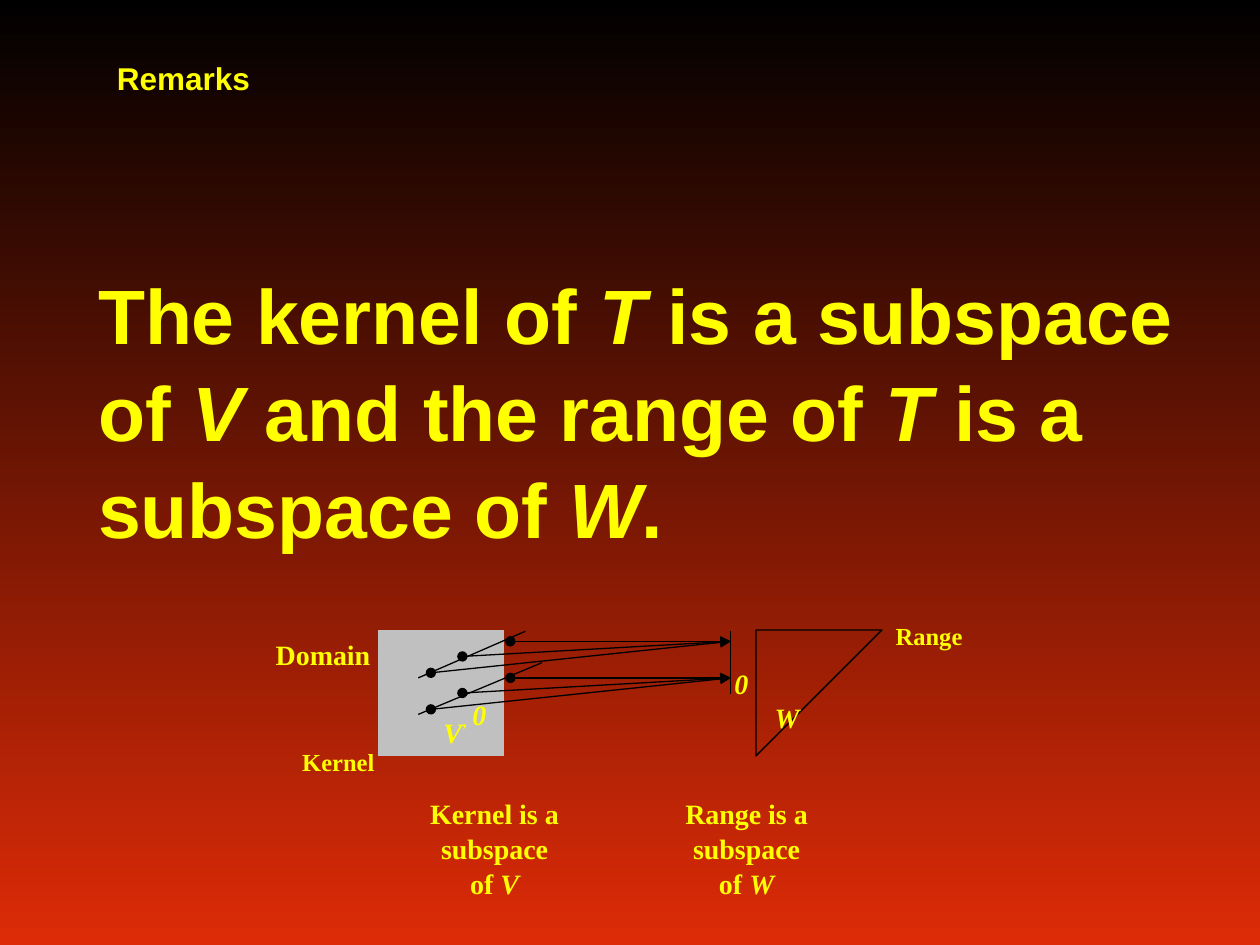
from lxml.etree import SubElement
from pptx import Presentation
from pptx.dml.color import RGBColor
from pptx.enum.shapes import MSO_CONNECTOR
from pptx.enum.text import PP_ALIGN
from pptx.oxml.ns import qn
from pptx.util import Inches, Pt

YELLOW, BLACK, GRAY, RED = "FFFF00", "000000", "C0C0C0", "DD2B07"
SANS, SERIF = "Arial", "Times New Roman"

# Content: text runs are separated by *, every second run is italic
STATEMENT = "The kernel of *T* is a subspace of *V* and the range of *T* is a subspace of *W*."
LABELS = [  # text, left, top, width, height, size
    ("*0", 5.73, 5.24, 0.37, 0.37, 16),
    ("*W", 6.05, 5.51, 1.5, 0.37, 16),
    ("*0", 3.65, 5.49, 0.65, 0.37, 16),
    ("Range", 7.01, 4.88, 0.79, 0.34, 14),
    ("Kernel", 2.3, 5.88, 0.79, 0.34, 14),
    ("Domain", 2.09, 5.01, 1, 0.37, 16),
]
CAPTIONS = [("Kernel is a subspace of *V", 3.3), ("Range is a subspace of *W", 5.3)]

# Diagram geometry
DOMAIN = [(3.36, 6.05), (3.24, 4.81), (4.25, 4.86), (4.34, 5.81)]
RANGE = [(6.49, 6.05), (6.6, 4.81), (5.6, 4.86), (5.51, 5.81)]
TARGET_X, TARGET_YS = 5.8, (5.09, 5.38)
SOURCES = [(4.05, 0), (3.42, 0.25), (3.67, 0.12)]  # x, drop below the target
PLAIN_LINES = [
    ((3.32, 5.67), (4.3, 5.26)),
    ((3.32, 5.38), (4.17, 5.01)),
    ((TARGET_X, 5.01), (TARGET_X, 5.51)),
]


def color(value):
    return RGBColor.from_string(value)


def add_text(page, text, left, top, width, height, size=16, font=SERIF,
             align=PP_ALIGN.LEFT, wrap=True, indent=0, spacing=None):
    box = page.shapes.add_textbox(*map(Inches, (left, top, width, height)))
    box.text_frame.word_wrap = wrap
    para = box.text_frame.paragraphs[0]
    para.alignment = align
    if spacing:
        para.line_spacing = spacing
    if indent:
        para._p.get_or_add_pPr().set("marL", str(Inches(indent)))
    for number, part in enumerate(text.split("*")):
        if part:
            add_span(para, part, size, font, italic=number % 2 == 1)
    return para


def add_span(para, text, size, font, italic=False):
    span = para.add_run()
    span.text = text
    span.font.name, span.font.size = font, Pt(size)
    span.font.bold, span.font.italic = True, italic
    span.font.color.rgb = color(YELLOW)
    return span


def add_outline(page, points, fill=None, line=None):
    builder = page.shapes.build_freeform(*points[0], scale=Inches(1))
    builder.add_line_segments(points[1:], close=True)
    shape = builder.convert_to_shape()
    shape.shadow.inherit = False
    for part, value in ((shape.fill, fill), (shape.line.fill, line)):
        if value:
            part.solid()
            part.fore_color.rgb = color(value)
        else:
            part.background()
    shape.line.width = Pt(0.75)


def add_line(page, start, end, arrow=False):
    line = page.shapes.add_connector(
        MSO_CONNECTOR.STRAIGHT, *map(Inches, (*start, *end)))
    line.line.color.rgb = color(BLACK)
    line.line.width = Pt(0.75)
    if arrow:
        stroke = line.line._get_or_add_ln()
        SubElement(stroke, qn("a:headEnd"), type="oval")
        SubElement(stroke, qn("a:tailEnd"), type="triangle")
    SubElement(line._element.spPr, qn("a:effectLst"))


def main():
    deck = Presentation()
    deck.slide_width, deck.slide_height = Inches(10), Inches(7.5)
    page = deck.slides.add_slide(deck.slide_layouts[6])

    # Background, black at the top to red at the bottom
    backdrop = page.background.fill
    backdrop.gradient()
    backdrop.gradient_angle = 270
    for stop, position, value in zip(backdrop.gradient_stops, (0, 1), (BLACK, RED)):
        stop.position = position
        stop.color.rgb = color(value)

    # Heading and statement
    add_text(page, STATEMENT, 0.3, 2.04, 9.11, 2.33, size=44, font=SANS,
             indent=0.38, spacing=1.05)
    add_text(page, "Remarks", 0.83, 0.42, 6.25, 1.25, size=18, font=SANS, wrap=False)

    # Domain and range planes with the mapping arrows
    add_outline(page, DOMAIN, fill=GRAY)
    add_outline(page, RANGE, line=BLACK)
    for start, end in PLAIN_LINES:
        add_line(page, start, end)
    for target_y in TARGET_YS:
        for x, drop in SOURCES:
            add_line(page, (x, target_y + drop), (TARGET_X, target_y), arrow=True)

    # Labels and captions
    for text, *place, size in LABELS:
        add_text(page, text, *place, size=size)
    para = add_text(page, "*V", 3.42, 5.63, 1.5, 0.37)
    prime = add_span(para, "’", 16, SERIF)
    prime.font._element.set("baseline", "30000")
    for text, left in CAPTIONS:
        add_text(page, text, left, 6.26, 1.25, 0.9, align=PP_ALIGN.CENTER, spacing=1.05)

    deck.save("out.pptx")


if __name__ == "__main__":
    main()
